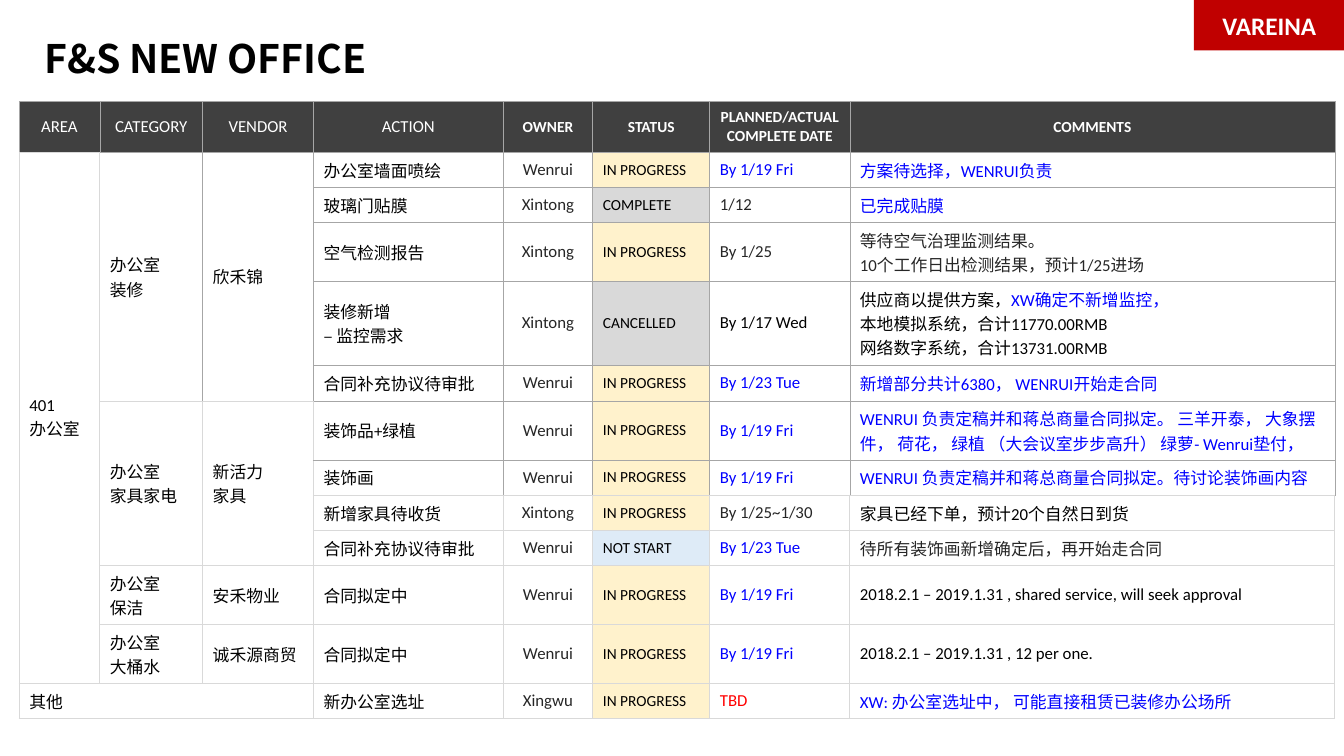
from lxml import etree
from pptx import Presentation
from pptx import util as u
from pptx.dml.color import RGBColor
from pptx.enum import shapes, text
from pptx.oxml import ns

PX = 9144  # 100 px to the inch
LATIN, EAST_ASIAN = "Calibri", "Noto Sans CJK SC"

WHITE = RGBColor(0xFF, 0xFF, 0xFF)
BLACK = RGBColor(0x00, 0x00, 0x00)
INK = RGBColor(0x26, 0x26, 0x26)
BLUE = RGBColor(0x00, 0x00, 0xFF)
RED = RGBColor(0xFF, 0x00, 0x00)
BADGE_RED = RGBColor(0xC0, 0x00, 0x00)
HEADER_GREY = RGBColor(0x40, 0x40, 0x40)
DARK_RULE = RGBColor(0xA6, 0xA6, 0xA6)
LIGHT_RULE = RGBColor(0xD9, 0xD9, 0xD9)
STATUS_FILLS = {
    "IN PROGRESS": RGBColor(0xFF, 0xF2, 0xCC),
    "COMPLETE": RGBColor(0xD9, 0xD9, 0xD9),
    "CANCELLED": RGBColor(0xD9, 0xD9, 0xD9),
    "NOT START": RGBColor(0xDE, 0xEB, 0xF7),
}

COLUMN_WIDTHS = [80, 102, 110, 188, 89, 116, 139, 481]
ROW_HEIGHTS = [50, 35, 35, 58, 81, 36, 58, 35, 35, 35, 58, 58, 35]
HEADERS = ["AREA", "CATEGORY", "VENDOR", "ACTION", "OWNER", "STATUS",
           "PLANNED/ACTUAL COMPLETE DATE", "COMMENTS"]
# Row, column, rows spanned, columns spanned, wording
GROUPS = [
    (1, 0, 11, 1, "401\n办公室"),
    (1, 1, 5, 1, "办公室\n装修"),
    (1, 2, 5, 1, "欣禾锦"),
    (6, 1, 4, 1, "办公室\n家具家电"),
    (6, 2, 4, 1, "新活力\n家具"),
    (10, 1, 1, 1, "办公室\n保洁"),
    (10, 2, 1, 1, "安禾物业"),
    (11, 1, 1, 1, "办公室\n大桶水"),
    (11, 2, 1, 1, "诚禾源商贸"),
    (12, 0, 1, 3, "其他"),
]
# Action, owner, status, date, date colour, comment, comment colour;
# in a comment line, the words after "|" are blue
TASKS = [
    ("办公室墙面喷绘", "Wenrui", "IN PROGRESS", "By 1/19 Fri", BLUE,
     "方案待选择，WENRUI负责", BLUE),
    ("玻璃门贴膜", "Xintong", "COMPLETE", "1/12", INK, "已完成贴膜", BLUE),
    ("空气检测报告", "Xintong", "IN PROGRESS", "By 1/25", INK,
     "等待空气治理监测结果。\n10个工作日出检测结果，预计1/25进场", INK),
    ("装修新增\n– 监控需求", "Xintong", "CANCELLED", "By 1/17 Wed", BLACK,
     "供应商以提供方案，|XW确定不新增监控，\n本地模拟系统，合计11770.00RMB\n"
     "网络数字系统，合计13731.00RMB", BLACK),
    ("合同补充协议待审批", "Wenrui", "IN PROGRESS", "By 1/23 Tue", BLUE,
     "新增部分共计6380， WENRUI开始走合同", BLUE),
    ("装饰品+绿植", "Wenrui", "IN PROGRESS", "By 1/19 Fri", BLUE,
     "WENRUI 负责定稿并和蒋总商量合同拟定。 三羊开泰， 大象摆件， 荷花， "
     "绿植 （大会议室步步高升） 绿萝- Wenrui垫付，", BLUE),
    ("装饰画", "Wenrui", "IN PROGRESS", "By 1/19 Fri", BLUE,
     "WENRUI 负责定稿并和蒋总商量合同拟定。待讨论装饰画内容", BLUE),
    ("新增家具待收货", "Xintong", "IN PROGRESS", "By 1/25~1/30", INK,
     "家具已经下单，预计20个自然日到货", BLACK),
    ("合同补充协议待审批", "Wenrui", "NOT START", "By 1/23 Tue", BLUE,
     "待所有装饰画新增确定后，再开始走合同", INK),
    ("合同拟定中", "Wenrui", "IN PROGRESS", "By 1/19 Fri", BLUE,
     "2018.2.1 – 2019.1.31 , shared service, will seek approval", BLACK),
    ("合同拟定中", "Wenrui", "IN PROGRESS", "By 1/19 Fri", BLUE,
     "2018.2.1 – 2019.1.31 , 12 per one.", BLACK),
    ("新办公室选址", "Xingwu", "IN PROGRESS", "TBD", RED,
     "XW: 办公室选址中， 可能直接租赁已装修办公场所", BLUE),
]


def px(*lengths):
    return [u.Emu(length * PX) for length in lengths]


def write(frame, wording, size, colour, bold=False,
          align=text.PP_ALIGN.LEFT, latin=LATIN):
    """Fill a text frame, one paragraph per line."""
    for index, line in enumerate(wording.split("\n")):
        paragraph = frame.add_paragraph() if index else frame.paragraphs[0]
        paragraph.alignment = align
        font = paragraph.font
        font.name, font.size, font.bold = latin, u.Pt(size), bold
        font.color.rgb = colour
        etree.SubElement(paragraph._p.pPr.find(ns.qn("a:defRPr")),
                         ns.qn("a:ea"), typeface=EAST_ASIAN)
        for part, words in enumerate(line.split("|")):
            run = paragraph.add_run()
            run.text = words
            if part:
                run.font.color.rgb = BLUE


def fill_cell(cell, wording, size, colour, fill=WHITE, **style):
    cell.vertical_anchor = text.MSO_ANCHOR.MIDDLE
    cell.fill.solid()
    cell.fill.fore_color.rgb = fill
    write(cell.text_frame, wording, size, colour, **style)


def light_above(row, column):
    return row >= 8 or (row >= 6 and column < 3) or (row == 1 and column == 0)


def light_left(row, column):
    return row >= 8 or (row >= 6 and column <= 3) or (row >= 1 and column <= 1)


def draw_borders(cell, row, column):
    below, beyond = row + cell.span_height, column + cell.span_width
    if not cell.is_merge_origin:
        below, beyond = row + 1, column + 1
    edges = {"a:lnL": light_left(row, column), "a:lnR": light_left(row, beyond),
             "a:lnT": light_above(row, column), "a:lnB": light_above(below, column)}
    properties = cell._tc.get_or_add_tcPr()
    for position, (tag, light) in enumerate(edges.items()):
        line = etree.Element(ns.qn(tag), w=str(u.Pt(1 if light else 0.5)))
        solid = etree.SubElement(line, ns.qn("a:solidFill"))
        etree.SubElement(solid, ns.qn("a:srgbClr"),
                         val=str(LIGHT_RULE if light else DARK_RULE))
        properties.insert(position, line)


def add_title(slide, left, top, width, height):
    title = slide.shapes.title
    title.left, title.top, title.width, title.height = px(left, top, width, height)
    frame = title.text_frame
    frame.auto_size = text.MSO_AUTO_SIZE.NONE
    frame.vertical_anchor = text.MSO_ANCHOR.MIDDLE
    write(frame, "F&S NEW OFFICE", 28, BLACK, bold=True, latin=EAST_ASIAN)
    frame.paragraphs[0].line_spacing = 0.9


def add_badge(slide, left, top, width, height):
    badge = slide.shapes.add_shape(shapes.MSO_SHAPE.RECTANGLE,
                                   *px(left, top, width, height))
    badge.shadow.inherit = False
    badge.fill.solid()
    badge.fill.fore_color.rgb = BADGE_RED
    badge.line.fill.background()
    badge.text_frame.vertical_anchor = text.MSO_ANCHOR.MIDDLE
    write(badge.text_frame, "VAREINA", 18, WHITE, bold=True,
          align=text.PP_ALIGN.CENTER)


def add_tracker(slide, left, top, width, height):
    table = slide.shapes.add_table(len(ROW_HEIGHTS), len(COLUMN_WIDTHS),
                                   *px(left, top, width, height)).table
    table.first_row = table.horz_banding = False
    for column, column_width in zip(table.columns, px(*COLUMN_WIDTHS)):
        column.width = column_width
    for row, row_height in zip(table.rows, px(*ROW_HEIGHTS)):
        row.height = row_height

    # Header row: the last four headings are bold and have no margins
    for column, heading in enumerate(HEADERS):
        cell, strong = table.cell(0, column), column >= 4
        fill_cell(cell, heading, 11 if strong else 12, WHITE, HEADER_GREY,
                  bold=strong, align=text.PP_ALIGN.CENTER)
        if strong:
            cell.margin_left = cell.margin_right = 0
            cell.margin_top = cell.margin_bottom = 0

    # Area, category and vendor
    for row, column, down, across, wording in GROUPS:
        cell = table.cell(row, column)
        if down * across > 1:
            cell.merge(table.cell(row + down - 1, column + across - 1))
        fill_cell(cell, wording, 12, BLACK)

    # Tasks
    for row, task in enumerate(TASKS, 1):
        action, owner, status, date, date_colour, comment, comment_colour = task
        fill_cell(table.cell(row, 3), action, 12, BLACK)
        fill_cell(table.cell(row, 4), owner, 12, INK, align=text.PP_ALIGN.CENTER)
        fill_cell(table.cell(row, 5), status, 11, BLACK, STATUS_FILLS[status])
        fill_cell(table.cell(row, 6), date, 12, date_colour)
        fill_cell(table.cell(row, 7), comment, 12, comment_colour)

    # Borders
    for row in range(len(ROW_HEIGHTS)):
        for column in range(len(COLUMN_WIDTHS)):
            cell = table.cell(row, column)
            if not cell.is_spanned:
                draw_borders(cell, row, column)


def main():
    presentation = Presentation()
    presentation.slide_width, presentation.slide_height = px(1333, 750)
    slide = presentation.slides.add_slide(presentation.slide_layouts[5])
    add_title(slide, 34, 25, 1150, 70)
    add_badge(slide, 1184, 0, 150, 50)
    add_tracker(slide, 19, 101, sum(COLUMN_WIDTHS), sum(ROW_HEIGHTS))
    presentation.save("out.pptx")


if __name__ == "__main__":
    main()
